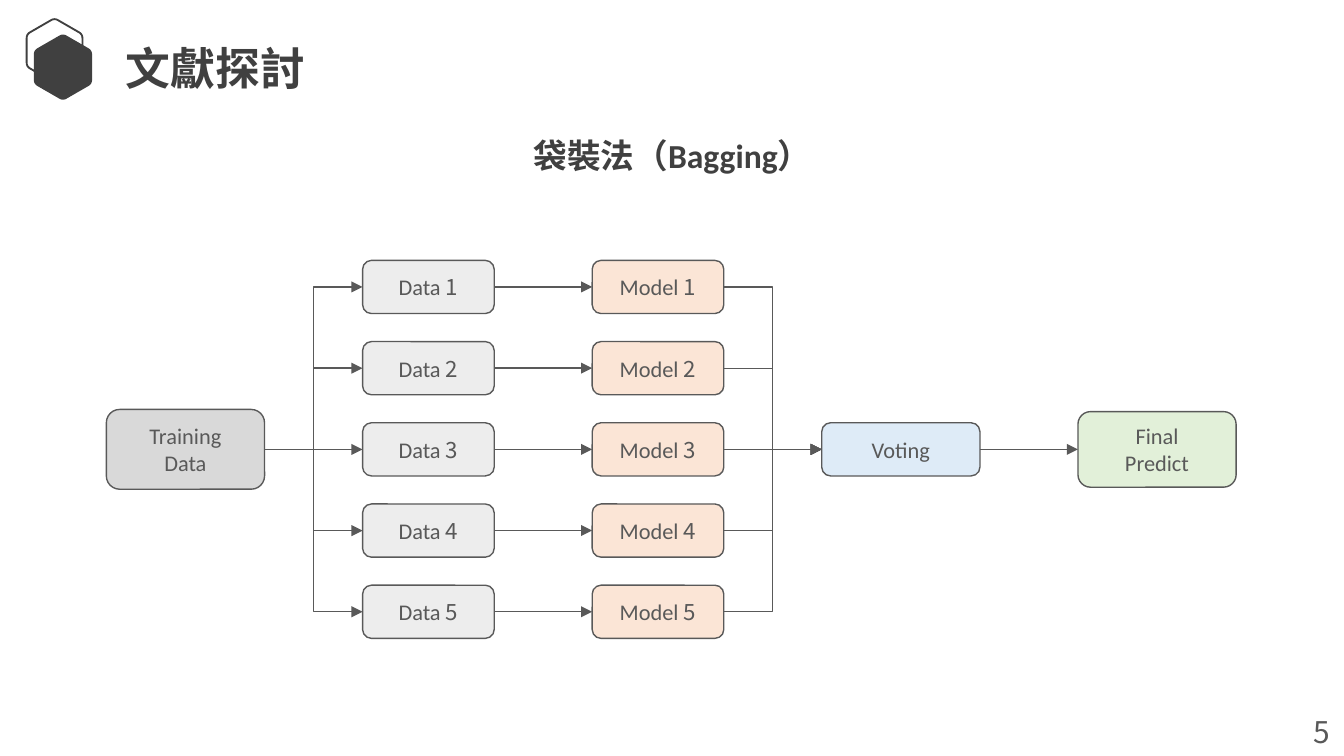
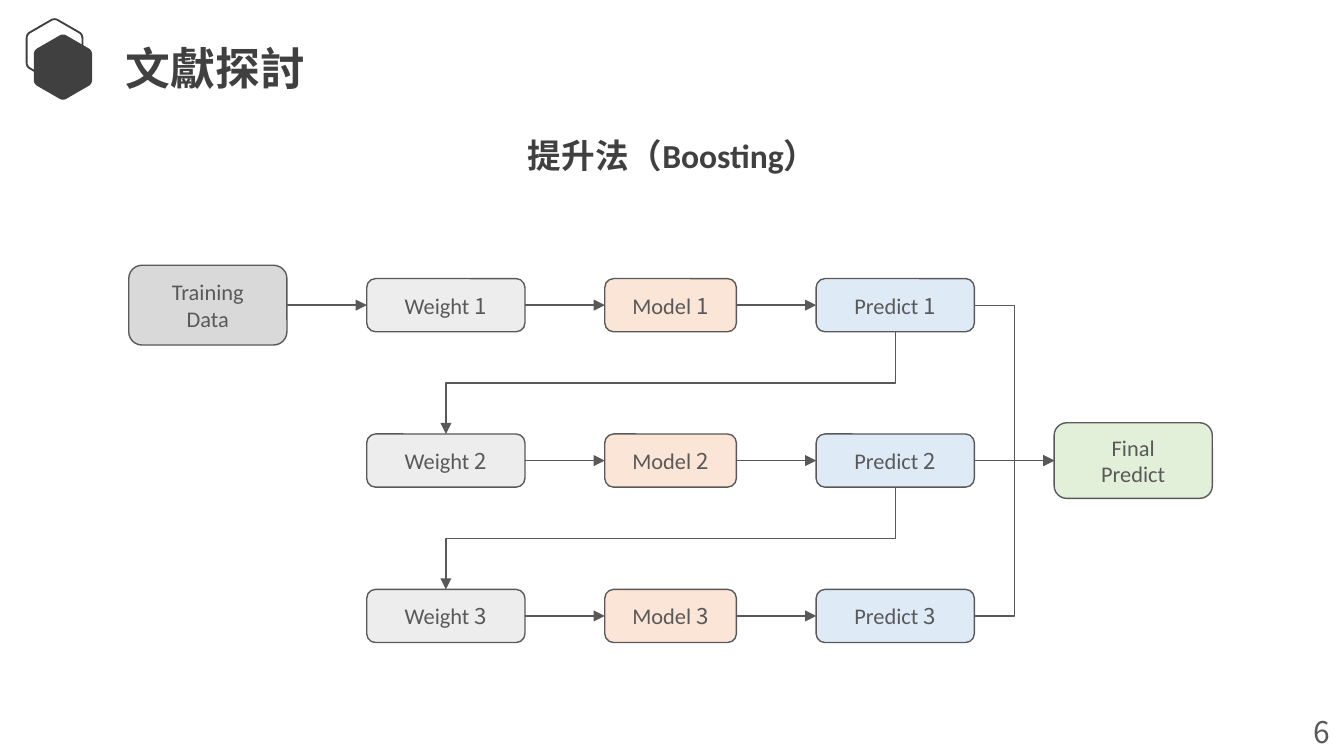
import copy
import math

from pptx import Presentation, util as u
from pptx.dml.color import RGBColor
from pptx.enum import shapes, text
from pptx.oxml import ns
from lxml import etree

PX = 9525  # EMU per px, 96 px to the inch
WIDTH, HEIGHT = 960, 540
LATIN, CJK = "Calibri", "Noto Sans CJK JP"
COLORS = {
    "title": "404040", "text": "595959", "source": "D9D9D9", "sample": "EDEDED",
    "model": "FBE5D6", "vote": "DEEBF7", "final": "E2F0D9",
}
FORMATS = {
    "title": ("title", {"name": CJK, "size": u.Pt(24), "bold": True}),
    "heading": ("title", {"name": LATIN, "size": u.Pt(18), "bold": True}),
    "page": ("text", {"name": CJK, "size": u.Pt(16)}),
    "label": ("text", {"name": LATIN, "size": u.Pt(12)}),
    "number": ("text", {"name": CJK, "size": u.Pt(12)}),
}
BIG_W, SMALL_W, ROW_H = 113, 94, 38
SOURCE_H, FINAL_H = 57, 54
STRAIGHT, ELBOW = shapes.MSO_CONNECTOR.STRAIGHT, shapes.MSO_CONNECTOR.ELBOW
TOP, LEFT, BOTTOM, RIGHT = range(4)  # connection sites of a rounded box


def emu(px):
    return u.Emu(round(px * PX))


def rgb(name):
    return RGBColor.from_string(COLORS[name])


def lefts(start, gap, widths):
    """Left edges of columns that stand one gap apart."""
    return [start + sum(widths[:i]) + i * gap for i in range(len(widths))]


def hexagon_points(cx, cy, radius, cut=0.12, steps=6):
    """Points of an upright hexagon whose corners are rounded by quadratic curves."""
    corners = [(cx + radius * math.sin(i * math.pi / 3),
                cy - radius * math.cos(i * math.pi / 3)) for i in range(6)]
    points = []
    for i, corner in enumerate(corners):
        before, after = corners[i - 1], corners[(i + 1) % 6]
        start, end = ([c + cut * (n - c) for c, n in zip(corner, near)]
                      for near in (before, after))
        for t in (k / steps for k in range(steps + 1)):
            points.append(tuple(emu((1 - t) ** 2 * a + 2 * t * (1 - t) * c + t * t * b)
                                for a, c, b in zip(start, corner, end)))
    return points


class Deck:
    def __init__(self):
        self.prs = Presentation()
        self.prs.slide_width, self.prs.slide_height = emu(WIDTH), emu(HEIGHT)
        self.s = None

    def slide(self, heading, page):
        self.s = self.prs.slides.add_slide(self.prs.slide_layouts[6])
        self.textbox(199, 92, 563, 38, heading, "heading",
                     vertical_anchor=text.MSO_ANCHOR.MIDDLE).alignment = text.PP_ALIGN.CENTER
        self.hexagon(39, 36, 23, filled=False)
        self.hexagon(45, 48, 24, filled=True)
        self.textbox(83, 25, 170, 46, "文獻探討", "title",
                     margin_left=emu(7), margin_right=emu(7),
                     margin_top=emu(4), margin_bottom=emu(4))
        self.textbox(929, 505, 30, 36, page, "page", word_wrap=False)

    def run(self, p, content, style):
        color, values = FORMATS[style]
        r = p.add_run()
        r.text = content
        for key, value in values.items():
            setattr(r.font, key, value)
        r.font.color.rgb = rgb(color)
        etree.SubElement(r.font._element, ns.qn("a:ea"), typeface=CJK)
        return r

    def textbox(self, x, y, w, h, content, style, **frame):
        tf = self.s.shapes.add_textbox(*map(emu, (x, y, w, h))).text_frame
        for key, value in {"word_wrap": True, **frame}.items():
            setattr(tf, key, value)
        p = tf.paragraphs[0]
        self.run(p, content, style)
        return p

    def hexagon(self, cx, cy, radius, filled):
        first, *others = hexagon_points(cx, cy, radius)
        builder = self.s.shapes.build_freeform(*first)
        builder.add_line_segments(others, close=True)
        sp = builder.convert_to_shape()
        sp.shadow.inherit = False
        if filled:
            sp.fill.solid()
            sp.fill.fore_color.rgb = rgb("title")
            sp.line.fill.background()
        else:
            sp.fill.background()
            sp.line.color.rgb = rgb("title")
            sp.line.width = u.Pt(1)

    def box(self, x, middle, w, h, fill, label, number=""):
        """Rounded box centred on the height `middle`; a newline in the label breaks the line."""
        sp = self.s.shapes.add_shape(shapes.MSO_SHAPE.ROUNDED_RECTANGLE,
                                     *map(emu, (x, middle - h / 2, w, h)))
        sp.shadow.inherit = False
        sp.fill.solid()
        sp.fill.fore_color.rgb = rgb(fill)
        sp.line.color.rgb = rgb("text")
        sp.line.width = u.Pt(0.75)
        tf = sp.text_frame
        tf.word_wrap, tf.vertical_anchor = True, text.MSO_ANCHOR.MIDDLE
        p = tf.paragraphs[0]
        p.alignment = text.PP_ALIGN.CENTER
        for i, line in enumerate(label.split("\n")):
            if i:
                p.add_line_break()
                p._p[-1].append(copy.deepcopy(r.font._element))
            r = self.run(p, line, "label")
        if number:
            self.run(p, str(number), "number")
        return sp

    def arrow(self, a, b, kind=STRAIGHT, sites=(RIGHT, LEFT)):
        c = self.s.shapes.add_connector(kind, 0, 0, 0, 0)
        c.begin_connect(a, sites[0])
        c.end_connect(b, sites[1])
        c.line.color.rgb = rgb("text")
        c.line.width = u.Pt(0.75)
        etree.SubElement(c.line._get_or_add_ln(), ns.qn("a:tailEnd"), type="triangle")
        etree.SubElement(c._element.spPr, ns.qn("a:effectLst"))
        return c

    def arrow_back(self, a, b):
        """Elbow from the bottom of a, down and left to the top of b: a quarter turn."""
        c = self.arrow(a, b, ELBOW, (BOTTOM, TOP))
        cx, cy, w, h = c.left + c.width // 2, c.top + c.height // 2, c.width, c.height
        c.left, c.top, c.width, c.height = cx - h // 2, cy - w // 2, h, w
        xfrm = c._element.spPr.find(ns.qn("a:xfrm"))
        xfrm.attrib.pop("flipH", None)
        xfrm.set("rot", str(90 * 60000))


def bagging(deck):
    deck.slide("袋裝法（Bagging）", "5")
    rows = [205 + 58 * i for i in range(5)]
    middle = rows[2]
    source_x, data_x, model_x, vote_x, final_x = lefts(
        76, 70, [BIG_W, SMALL_W, SMALL_W, BIG_W, BIG_W])
    source = deck.box(source_x, middle, BIG_W, SOURCE_H, "source", "Training\nData")
    data = [deck.box(data_x, y, SMALL_W, ROW_H, "sample", "Data ", n)
            for n, y in enumerate(rows, 1)]
    models = [deck.box(model_x, y, SMALL_W, ROW_H, "model", "Model ", n)
              for n, y in enumerate(rows, 1)]
    voting = deck.box(vote_x, middle, BIG_W, ROW_H, "vote", "Voting")
    final = deck.box(final_x, middle, BIG_W, FINAL_H, "final", "Final\nPredict")
    for sample, model in zip(data, models):
        deck.arrow(source, sample, ELBOW)
        deck.arrow(sample, model)
        deck.arrow(model, voting, ELBOW)
    deck.arrow(voting, final)


def boosting(deck):
    deck.slide("提升法（Boosting）", "6")
    rows = [218 + 111 * i for i in range(3)]
    source_x, weight_x, model_x, predict_x, final_x = lefts(
        92, 57, [BIG_W, BIG_W, SMALL_W, BIG_W, BIG_W])
    source = deck.box(source_x, rows[0], BIG_W, SOURCE_H, "source", "Training\nData")
    final = deck.box(final_x, rows[1], BIG_W, FINAL_H, "final", "Final\nPredict")
    previous = None
    for n, y in enumerate(rows, 1):
        weight = deck.box(weight_x, y, BIG_W, ROW_H, "sample", "Weight ", n)
        model = deck.box(model_x, y, SMALL_W, ROW_H, "model", "Model ", n)
        predict = deck.box(predict_x, y, BIG_W, ROW_H, "vote", "Predict ", n)
        if previous:
            deck.arrow_back(previous, weight)
        else:
            deck.arrow(source, weight)
        deck.arrow(weight, model)
        deck.arrow(model, predict)
        deck.arrow(predict, final, ELBOW)
        previous = predict


def main():
    deck = Deck()
    bagging(deck)
    boosting(deck)
    deck.prs.save("out.pptx")


if __name__ == "__main__":
    main()
